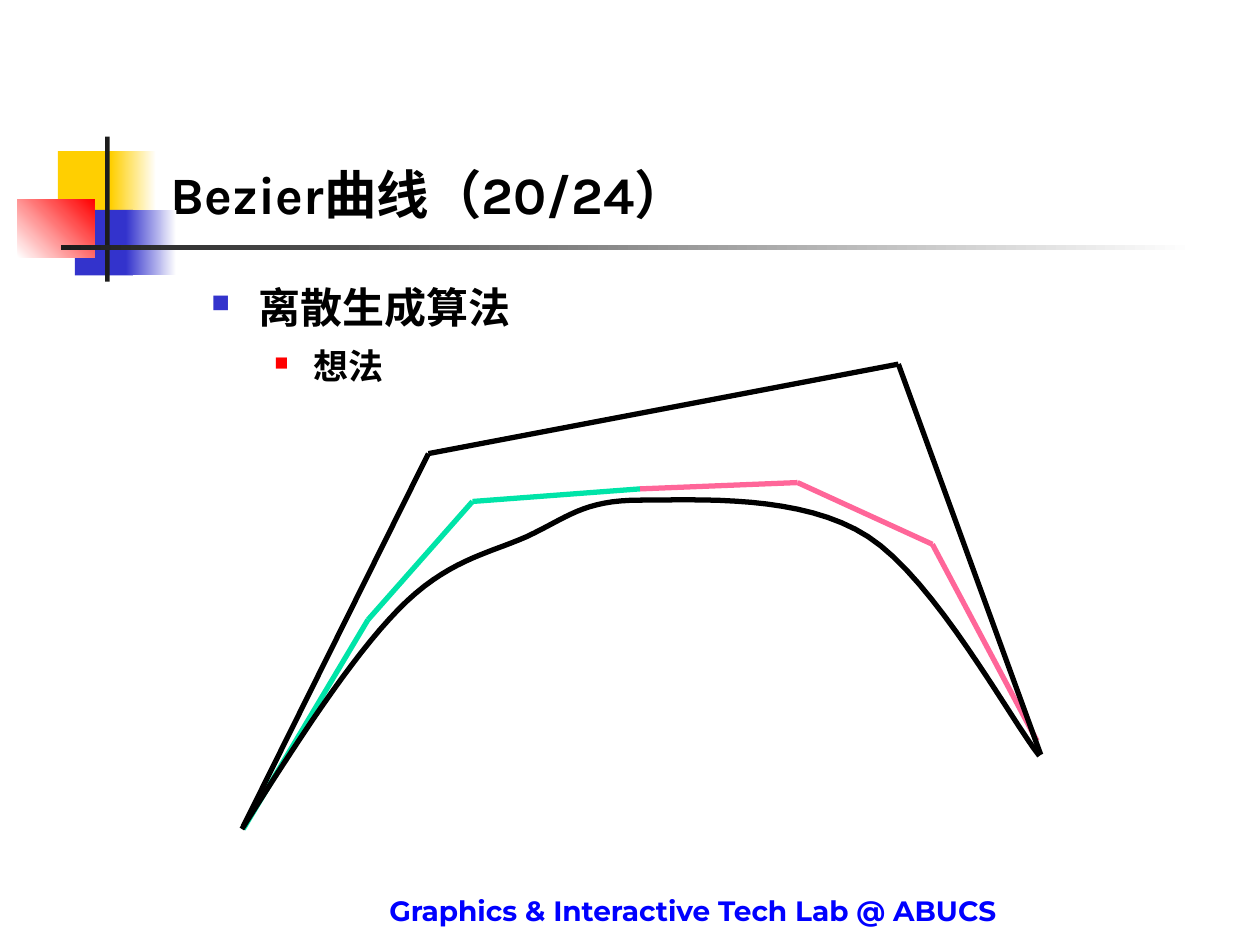
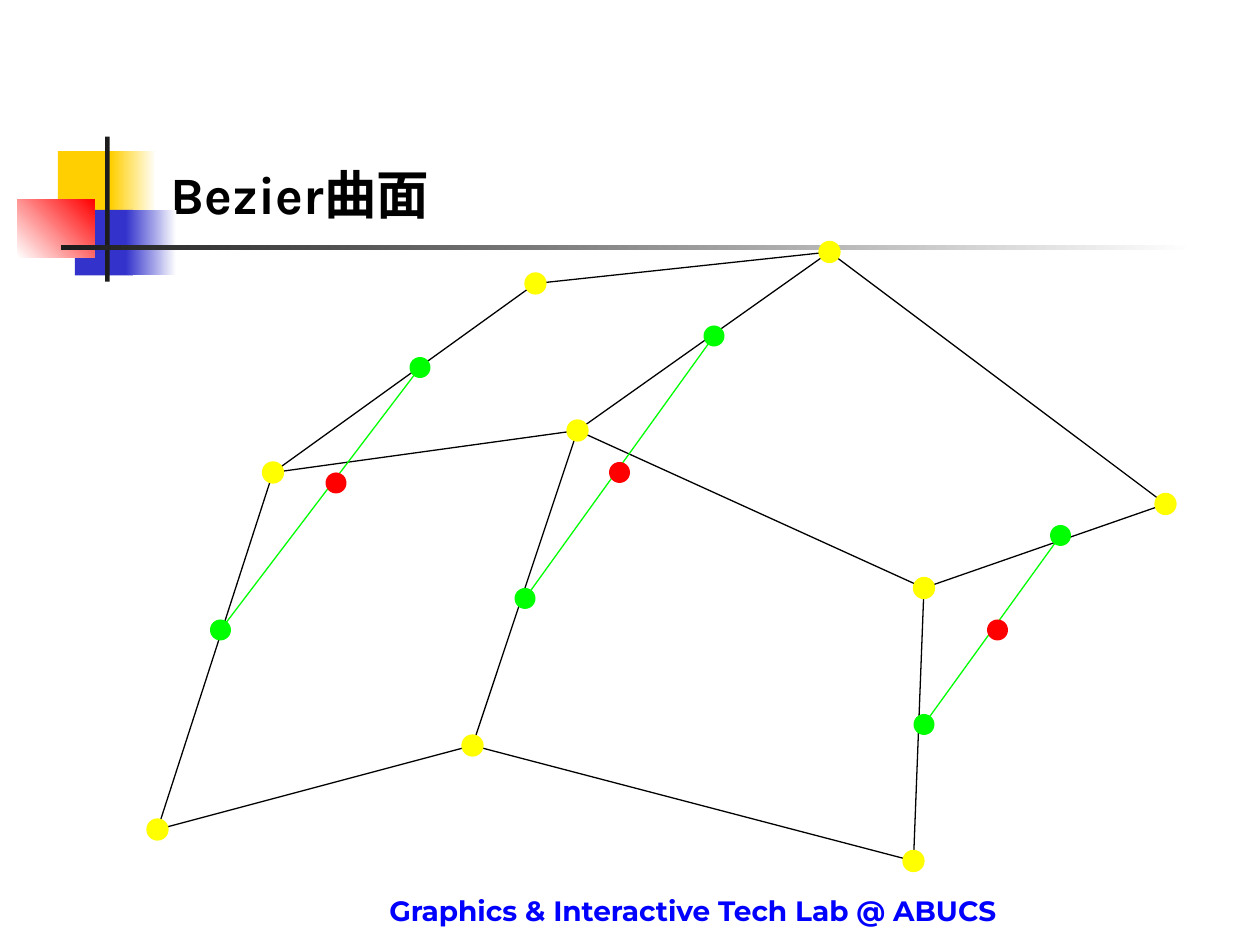
from itertools import chain, pairwise

from lxml.etree import SubElement
from pptx import Presentation
from pptx.dml.color import RGBColor
from pptx.enum.shapes import MSO_CONNECTOR, MSO_SHAPE
from pptx.enum.text import MSO_ANCHOR, MSO_AUTO_SIZE, PP_ALIGN
from pptx.oxml.ns import qn
from pptx.util import Emu, Inches, Pt

SLIDE_WIDTH, SLIDE_HEIGHT = Inches(10), Inches(7.5)
COLUMNS = 100
MESH_STEP = COLUMNS / 120
DOT = 2 * MESH_STEP
CURVE_STEPS = 16

BLACK = RGBColor(0x00, 0x00, 0x00)
WHITE = RGBColor(0xFF, 0xFF, 0xFF)
CHARCOAL = RGBColor(0x1C, 0x1C, 0x1C)
GOLD = RGBColor(0xFF, 0xCF, 0x01)
INDIGO = RGBColor(0x33, 0x33, 0xCC)
BLUE = RGBColor(0x00, 0x00, 0xFF)
RED = RGBColor(0xFF, 0x00, 0x00)
GREEN = RGBColor(0x00, 0xFF, 0x00)
YELLOW = RGBColor(0xFF, 0xFF, 0x00)
TEAL = RGBColor(0x00, 0xE4, 0xA8)
PINK = RGBColor(0xFF, 0x66, 0x99)

BODY_FONT, FOOTER_FONT = "Karla", "Montserrat"
FOOTER = "Graphics & Interactive Tech Lab @ ABUCS"

EMBLEM = [
    ((4.6, 12, 4.8, 5.2), (GOLD,), 0),
    ((8.8, 12, 3.6, 5.2), (GOLD, WHITE), 0),
    ((5.95, 16.65, 4.6, 5.2), (INDIGO,), 0),
    ((10, 16.65, 4, 5.2), (INDIGO, WHITE), 0),
    ((1.4, 15.8, 6.1, 4.65), (WHITE, RED), 45),
    ((8.35, 10.85, 0.35, 11.5), (CHARCOAL,), 0),
    ((4.85, 19.45, 90, 0.4), (CHARCOAL, WHITE), 0),
]

LEFT_POLYGON = [(19.3, 65.8), (29.2, 49.2), (37.5, 39.8), (50.8, 38.8)]
RIGHT_POLYGON = [(50.8, 38.8), (63.3, 38.3), (74, 43.2), (82.3, 58.8)]
CONTROL_POLYGON = [(19.3, 65.6), (34, 36), (71.3, 28.9), (82.6, 59.9)]
CURVE = [
    (19.2, 65.8), (23.5, 59), (27.8, 52.3),
    (31.6, 48.4), (35.4, 44.5), (38.6, 44),
    (41.8, 42.6), (45, 41.1), (46.3, 39.7),
    (50.8, 39.7), (55.4, 39.7), (63.7, 39.2),
    (68.9, 42.6), (74.2, 46), (80.2, 57.1), (82.5, 60),
]

CONTROL_NET = [
    [(51, 27), (79, 24), (111, 48)],
    [(26, 45), (55, 41), (88, 56)],
    [(15, 79), (45, 71), (87, 82)],
]
EDGE_POINTS = [
    [(40, 35), (21, 60)],
    [(68, 32), (50, 57)],
    [(101, 51), (88, 69)],
]
SURFACE_POINTS = [(32, 46), (59, 45), (95, 60)]


def cells(*counts):
    """Turn counts of grid cells into slide lengths."""
    return [Emu(round(count * SLIDE_WIDTH / COLUMNS)) for count in counts]


def write_text(paragraph, text, *, size, font=BODY_FONT, color=BLACK,
               align=PP_ALIGN.LEFT, before=0, spacing=1.0):
    """Write one bold run with its paragraph format."""
    paragraph.alignment = align
    paragraph.space_before = Pt(before)
    paragraph.line_spacing = spacing
    run = paragraph.add_run()
    run.text = text
    run.font.size, run.font.bold, run.font.name = Pt(size), True, font
    run.font.color.rgb = color
    SubElement(run.font._element, qn("a:ea"), typeface=font)


def add_bullet(paragraph, color, share, indent, hanging):
    """Give a paragraph a square bullet and a hanging indent."""
    properties = paragraph._p.get_or_add_pPr()
    properties.set("marL", str(Inches(indent)))
    properties.set("indent", str(-Inches(hanging)))
    tint = SubElement(properties, qn("a:buClr"))
    SubElement(tint, qn("a:srgbClr"), val=str(color))
    SubElement(properties, qn("a:buSzPct"), val=str(share * 1000))
    SubElement(properties, qn("a:buFont"), typeface="Wingdings", charset="2")
    SubElement(properties, qn("a:buChar"), char="n")


def add_figure(slide, kind, box, colors, angle=0, outline=None):
    """Add a shape with a solid or gradient fill."""
    figure = slide.shapes.add_shape(kind, *cells(*box))
    figure.shadow.inherit = False
    if outline is None:
        figure.line.fill.background()
    else:
        figure.line.color.rgb = outline
        figure.line.width = Pt(0.75)
    if len(colors) == 1:
        figure.fill.solid()
        figure.fill.fore_color.rgb = colors[0]
        return
    figure.fill.gradient()
    figure.fill.gradient_angle = angle
    for stop, color in zip(figure.fill.gradient_stops, colors):
        stop.color.rgb = color


def add_polyline(slide, points, color, width, step=1):
    """Join successive points with straight lines."""
    for start, end in pairwise(points):
        ends = [value * step for value in (*start, *end)]
        edge = slide.shapes.add_connector(MSO_CONNECTOR.STRAIGHT, *cells(*ends))
        edge.line.color.rgb = color
        edge.line.width = Pt(width)
        SubElement(edge._element.spPr, qn("a:effectLst"))


def add_dots(slide, centres, color, outline=None):
    """Put a dot on every mesh point."""
    for centre in centres:
        left, top = (value * MESH_STEP - DOT / 2 for value in centre)
        add_figure(slide, MSO_SHAPE.OVAL, (left, top, DOT, DOT), (color,),
                   outline=outline)


def bezier_point(controls, t):
    """Find a curve point by repeated interpolation."""
    while len(controls) > 1:
        controls = [
            tuple(a + (b - a) * t for a, b in zip(start, end))
            for start, end in pairwise(controls)
        ]
    return controls[0]


def add_curve(slide, controls, color, width):
    """Draw a chain of cubic Bezier segments."""
    points = [
        cells(*bezier_point(controls[first:first + 4], step / CURVE_STEPS))
        for first in range(0, len(controls) - 1, 3)
        for step in range(1, CURVE_STEPS + 1)
    ]
    builder = slide.shapes.build_freeform(*cells(*controls[0]), scale=1.0)
    builder.add_line_segments(points, close=False)
    curve = builder.convert_to_shape()
    curve.shadow.inherit = False
    curve.fill.background()
    curve.line.color.rgb = color
    curve.line.width = Pt(width)


def add_titled_slide(deck, heading):
    """Add a slide with the shared emblem, footer and title."""
    slide = deck.slides.add_slide(deck.slide_layouts[5])
    for box, colors, angle in EMBLEM:
        add_figure(slide, MSO_SHAPE.RECTANGLE, box, colors, angle)
    footer = slide.shapes.add_textbox(*cells(25, 70.4, 60, 4)).text_frame
    footer.word_wrap = True
    write_text(footer.paragraphs[0], FOOTER, size=16, font=FOOTER_FONT,
               color=BLUE, align=PP_ALIGN.CENTER)
    title = slide.shapes.title
    title.left, title.top, title.width, title.height = cells(12.55, 2.4, 85.2, 16)
    title.text_frame.auto_size = MSO_AUTO_SIZE.NONE
    title.text_frame.vertical_anchor = MSO_ANCHOR.BOTTOM
    write_text(title.text_frame.paragraphs[0], heading, size=30)
    return slide


def build_curve_slide(deck):
    """Show a curve with its split control polygon."""
    slide = add_titled_slide(deck, "Bezier曲线（20/24）")
    outline = slide.shapes.add_textbox(*cells(15.8, 21.85, 77.4, 44.1)).text_frame
    outline.word_wrap = True
    topic, idea = outline.paragraphs[0], outline.add_paragraph()
    write_text(topic, "离散生成算法", size=24, before=6)
    add_bullet(topic, INDIGO, 60, 0.37, 0.37)
    idea.level = 1
    write_text(idea, "想法", size=20, before=5, spacing=1.1)
    add_bullet(idea, RED, 55, 0.81, 0.31)
    add_polyline(slide, LEFT_POLYGON, TEAL, 3)
    add_polyline(slide, RIGHT_POLYGON, PINK, 3)
    add_polyline(slide, CONTROL_POLYGON, BLACK, 3)
    add_curve(slide, CURVE, BLACK, 3)


def build_surface_slide(deck):
    """Show a control net with its subdivision points."""
    slide = add_titled_slide(deck, "Bezier曲面")
    for strand in chain(CONTROL_NET, zip(*CONTROL_NET)):
        add_polyline(slide, strand, BLACK, 0.75, MESH_STEP)
    add_dots(slide, chain(*CONTROL_NET), YELLOW, outline=YELLOW)
    add_dots(slide, chain(*EDGE_POINTS), GREEN)
    for pair in EDGE_POINTS:
        add_polyline(slide, pair, GREEN, 0.75, MESH_STEP)
    add_dots(slide, SURFACE_POINTS, RED)


def main():
    """Build and save both slides."""
    deck = Presentation()
    deck.slide_width, deck.slide_height = SLIDE_WIDTH, SLIDE_HEIGHT
    build_curve_slide(deck)
    build_surface_slide(deck)
    deck.save("out.pptx")


if __name__ == "__main__":
    main()
